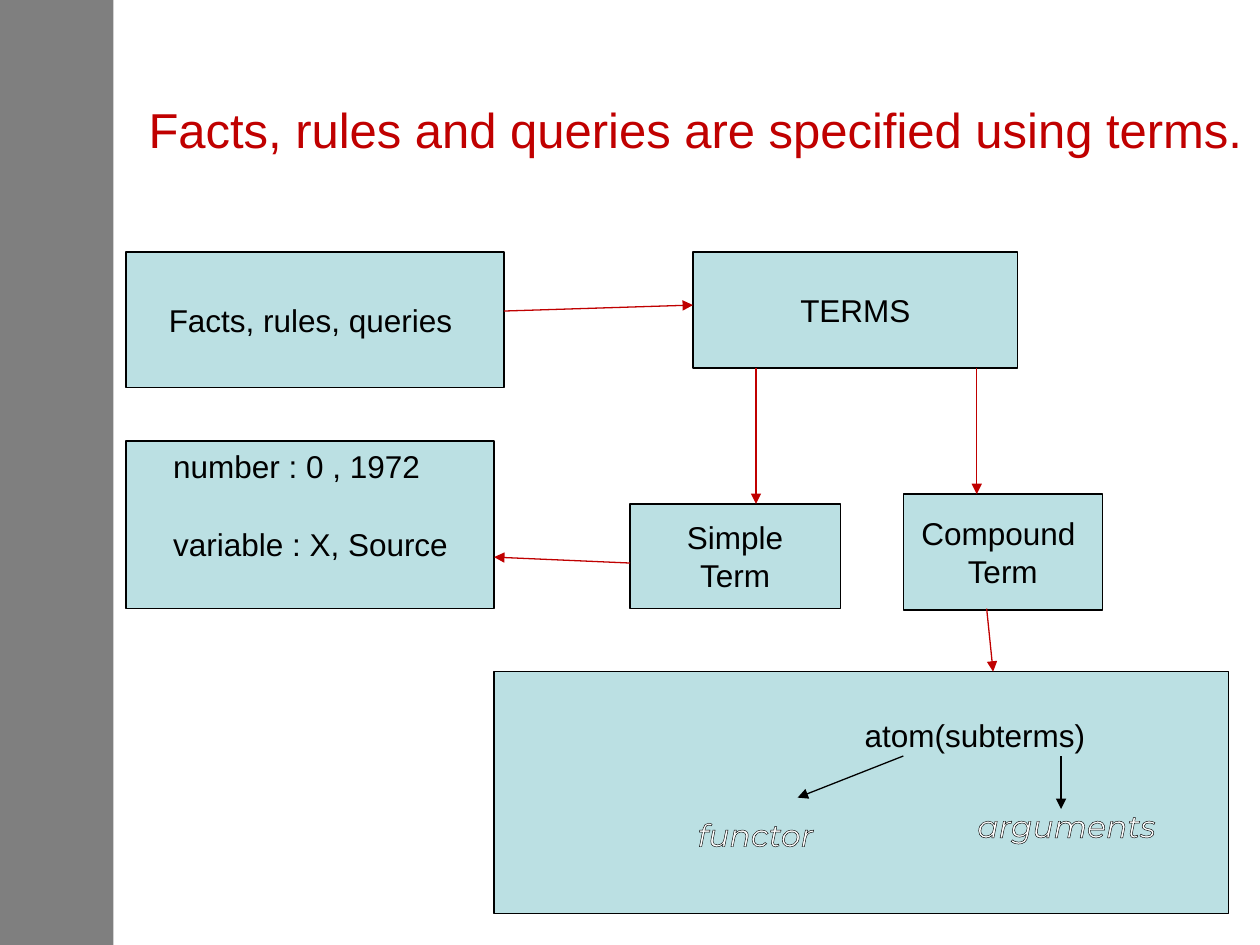
from dataclasses import dataclass

from lxml import etree
from pptx import Presentation
from pptx import util as u
from pptx.dml import color
from pptx.enum import shapes, text
from pptx.oxml import ns


@dataclass(frozen=True)
class Theme:
    """Colours, fonts and sizes of the slide."""

    accent: str = "C00000"
    panel: str = "BBE0E3"
    ink: str = "000000"
    paper: str = "FFFFFF"
    body_font: str = "Arial"
    label_font: str = "Montserrat"
    title_size: int = 28
    body_size: int = 18
    line_width: float = 0.75


THEME = Theme()


def rgb(value):
    """Return a colour object for a hex string."""
    return color.RGBColor.from_string(value)


def lengths(values):
    """Turn centimetre numbers into lengths."""
    return [u.Cm(value) for value in values]


def style(font, name, size, ink):
    """Set typeface, size and colour of a font."""
    font.name = name
    font.size = u.Pt(size)
    font.color.rgb = rgb(ink)


def add_lines(frame, lines, align, gap=0):
    """Write each line as one paragraph, with a gap between them."""
    for index, line in enumerate(lines):
        paragraph = frame.paragraphs[0] if index == 0 else frame.add_paragraph()
        paragraph.alignment = align
        if index and gap:
            paragraph.space_before = u.Pt(gap)
        run = paragraph.add_run()
        run.text = line
        style(run.font, THEME.body_font, THEME.body_size, THEME.ink)


def add_rectangle(slide, place, fill):
    """Add a plain filled rectangle."""
    rectangle = slide.shapes.add_shape(shapes.MSO_SHAPE.RECTANGLE, *lengths(place))
    rectangle.shadow.inherit = False
    rectangle.fill.solid()
    rectangle.fill.fore_color.rgb = rgb(fill)
    return rectangle


def add_side_band(slide):
    """Add the half-transparent band on the left edge."""
    band = add_rectangle(slide, (0, 0, 2.29, 19.05), THEME.ink)
    band.line.fill.background()
    tone = band.fill._xPr.find(".//" + ns.qn("a:srgbClr"))
    etree.SubElement(tone, ns.qn("a:alpha"), val="50000")


def add_title(slide, wording):
    """Place and format the title placeholder."""
    title = slide.shapes.title
    title.left, title.top, title.width, title.height = lengths((2.74, 0.08, 25.4, 5.05))
    frame = title.text_frame
    frame.auto_size = text.MSO_AUTO_SIZE.NONE
    frame.vertical_anchor = text.MSO_ANCHOR.MIDDLE
    paragraph = frame.paragraphs[0]
    paragraph.alignment = text.PP_ALIGN.LEFT
    run = paragraph.add_run()
    run.text = wording
    style(run.font, THEME.body_font, THEME.title_size, THEME.accent)


def add_panel(slide, place):
    """Add an outlined panel and return its text frame."""
    panel = add_rectangle(slide, place, THEME.panel)
    panel.line.color.rgb = rgb(THEME.ink)
    panel.line.width = u.Pt(THEME.line_width)
    return panel.text_frame


def add_concept(slide, place, lines):
    """Add a panel with centred text."""
    frame = add_panel(slide, place)
    frame.word_wrap = False
    frame.vertical_anchor = text.MSO_ANCHOR.MIDDLE
    add_lines(frame, lines, text.PP_ALIGN.CENTER)


def add_example(slide, place, lines, indent, drop, gap=0):
    """Add a panel with indented text that starts near the top."""
    frame = add_panel(slide, place)
    frame.word_wrap = True
    frame.vertical_anchor = text.MSO_ANCHOR.TOP
    frame.margin_left, frame.margin_top = lengths((indent, drop))
    add_lines(frame, lines, text.PP_ALIGN.LEFT, gap)


def add_outlined_label(slide, place, wording):
    """Add an italic label with outlined letters."""
    frame = slide.shapes.add_textbox(*lengths(place)).text_frame
    frame.word_wrap = False
    paragraph = frame.paragraphs[0]
    paragraph.alignment = text.PP_ALIGN.CENTER
    run = paragraph.add_run()
    run.text = wording
    style(run.font, THEME.label_font, THEME.body_size, THEME.paper)
    run.font.italic = True
    outline = etree.Element(ns.qn("a:ln"), w=str(u.Pt(THEME.line_width)))
    fill = etree.SubElement(outline, ns.qn("a:solidFill"))
    etree.SubElement(fill, ns.qn("a:srgbClr"), val=THEME.ink)
    run.font._element.insert(0, outline)


def add_arrow(slide, points, ink):
    """Add a straight arrow from start to end."""
    arrow = slide.shapes.add_connector(shapes.MSO_CONNECTOR.STRAIGHT, *lengths(points))
    arrow.line.color.rgb = rgb(ink)
    arrow.line.width = u.Pt(THEME.line_width)
    etree.SubElement(arrow.line._get_or_add_ln(), ns.qn("a:tailEnd"), type="triangle")
    etree.SubElement(arrow._element.spPr, ns.qn("a:effectLst"))


def main():
    """Build the slide about terms."""
    deck = Presentation()
    deck.slide_width, deck.slide_height = lengths((25.4, 19.05))
    slide = deck.slides.add_slide(deck.slide_layouts[5])

    add_side_band(slide)
    add_title(slide, "Facts, rules and queries are specified using terms.")

    concepts = [
        ((2.54, 5.08, 7.62, 2.74), ["Facts, rules, queries "]),
        ((13.97, 5.08, 6.55, 2.34), ["TERMS"]),
        ((12.7, 10.16, 4.24, 2.11), ["Simple", "Term"]),
        ((18.21, 9.96, 4.01, 2.34), ["Compound ", "Term"]),
    ]
    for place, lines in concepts:
        add_concept(slide, place, lines)

    simple_examples = ["number : 0 , 1972", "variable : X, Source"]
    add_example(slide, (2.54, 8.89, 7.42, 3.38), simple_examples, 0.95, 0.13, gap=23)
    add_example(slide, (9.96, 13.54, 14.81, 4.88), ["atom(subterms)"], 7.47, 0.9)

    add_outlined_label(slide, (13.59, 16.31, 3.28, 1.19), "functor")
    add_outlined_label(slide, (19.05, 16.13, 4.9, 1.19), "arguments")

    relations = [
        (10.16, 6.27, 13.97, 6.15),
        (15.24, 7.42, 15.24, 10.16),
        (19.69, 7.42, 19.69, 9.96),
        (12.7, 11.35, 9.96, 11.23),
        (19.89, 12.27, 20.02, 13.54),
    ]
    for points in relations:
        add_arrow(slide, points, THEME.accent)

    term_parts = [(18.21, 15.24, 16.08, 16.08), (21.39, 15.24, 21.39, 16.31)]
    for points in term_parts:
        add_arrow(slide, points, THEME.ink)

    deck.save("out.pptx")


if __name__ == "__main__":
    main()
